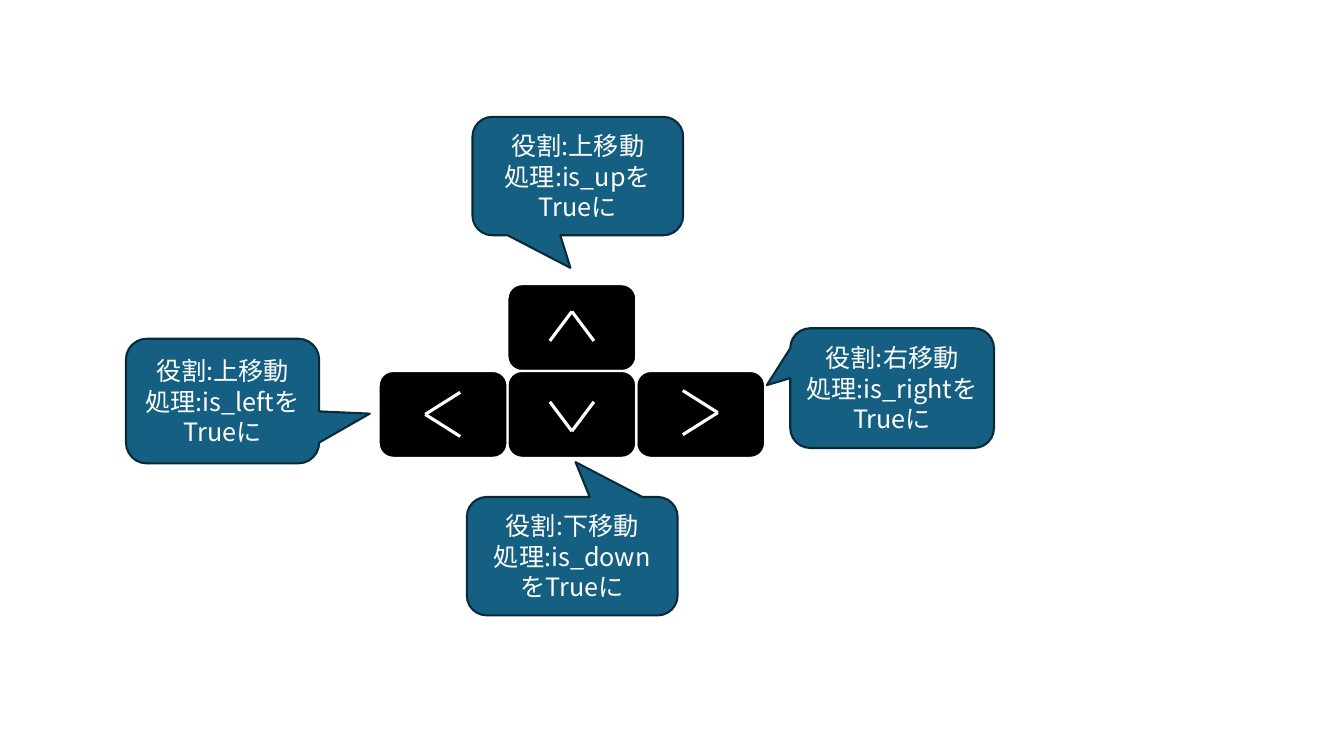
from dataclasses import dataclass

from lxml import etree
from pptx import Presentation
from pptx import util as u
from pptx.dml.color import RGBColor
from pptx.enum import shapes, text
from pptx.oxml import ns
from pptx.shapes.autoshape import Shape
from pptx.shapes.shapetree import GroupShapes, SlideShapes
from pptx.text.text import _Paragraph


@dataclass(frozen=True)
class Theme:
    white: RGBColor = RGBColor(0xFF, 0xFF, 0xFF)
    key: RGBColor = RGBColor(0x00, 0x00, 0x00)
    callout: RGBColor = RGBColor(0x15, 0x60, 0x82)
    outline: RGBColor = RGBColor(0x09, 0x2A, 0x39)
    font: str = "Noto Sans CJK JP"
    size: float = 18
    border: float = 1.5
    stroke: float = 2.25


@dataclass(frozen=True)
class Key:
    column: int
    row: int
    tip: tuple[float, float]
    direction: tuple[int, int]


@dataclass(frozen=True)
class Callout:
    words: str
    left: float
    top: float
    width: float
    height: float
    pointer: tuple[float, float]


THEME = Theme()
PAD_LEFT, PAD_TOP = 270.5, 203
KEY_WIDTH, KEY_HEIGHT = 92, 62
CHEVRON_HALF = 15.75

KEYS = [
    Key(1, 0, (408.5, 222.5), (0, -21)),
    Key(2, 1, (512.75, 294.75), (25, 0)),
    Key(1, 1, (408.5, 308), (0, 21)),
    Key(0, 1, (303.75, 296), (-25, 0)),
]

CALLOUTS = [
    Callout("役割:下移動\n処理:is_downをTrueに", 333.5, 355, 150.5, 84.5, (0.016, -0.795)),
    Callout("役割:上移動\v処理:is_upをTrueに", 337.5, 83.5, 150.5, 84.5, (-0.035, 0.776)),
    Callout("役割:右移動\v処理:is_rightをTrueに", 564.5, 234.5, 145.5, 85.5, (-0.615, -0.025)),
    Callout("役割:上移動\v処理:is_leftをTrueに", 90, 242, 138, 89, (0.762, 0.101)),
]


def paint(box: Shape, fill: RGBColor, line: RGBColor) -> None:
    box.shadow.inherit = False
    box.fill.solid()
    box.fill.fore_color.rgb = fill
    box.line.color.rgb = line
    box.line.width = u.Pt(THEME.border)


def draw_key(canvas: GroupShapes, key: Key) -> None:
    box = canvas.add_shape(
        shapes.MSO_SHAPE.ROUNDED_RECTANGLE,
        u.Pt(PAD_LEFT + key.column * KEY_WIDTH),
        u.Pt(PAD_TOP + key.row * KEY_HEIGHT),
        u.Pt(KEY_WIDTH),
        u.Pt(KEY_HEIGHT),
    )
    paint(box, THEME.key, THEME.white)


def draw_chevron(canvas: GroupShapes, key: Key) -> None:
    (x, y), (dx, dy) = key.tip, key.direction
    for side in (-CHEVRON_HALF, CHEVRON_HALF):
        tail_x = x - dx + (side if dx == 0 else 0)
        tail_y = y - dy + (side if dy == 0 else 0)
        stroke = canvas.add_connector(
            shapes.MSO_CONNECTOR.STRAIGHT, u.Pt(tail_x), u.Pt(tail_y), u.Pt(x), u.Pt(y)
        )
        stroke.line.color.rgb = THEME.white
        stroke.line.width = u.Pt(THEME.stroke)
        etree.SubElement(stroke._element.spPr, ns.qn("a:effectLst"))


def style_paragraph(para: _Paragraph) -> None:
    para.alignment = text.PP_ALIGN.CENTER
    para.font.size = u.Pt(THEME.size)
    para.font.color.rgb = THEME.white
    para.font.name = THEME.font
    defaults = para._p.pPr.find(ns.qn("a:defRPr"))
    etree.SubElement(defaults, ns.qn("a:ea"), typeface=THEME.font)


def draw_callout(canvas: SlideShapes, callout: Callout) -> None:
    box = canvas.add_shape(
        shapes.MSO_SHAPE.ROUNDED_RECTANGULAR_CALLOUT,
        u.Pt(callout.left),
        u.Pt(callout.top),
        u.Pt(callout.width),
        u.Pt(callout.height),
    )
    box.adjustments[0], box.adjustments[1] = callout.pointer
    paint(box, THEME.callout, THEME.outline)
    frame = box.text_frame
    frame.word_wrap = True
    frame.vertical_anchor = text.MSO_ANCHOR.MIDDLE
    frame.text = callout.words
    for para in frame.paragraphs:
        style_paragraph(para)


def main() -> None:
    deck = Presentation()
    deck.slide_width, deck.slide_height = u.Pt(960), u.Pt(540)
    page = deck.slides.add_slide(deck.slide_layouts[6])
    keypad = page.shapes.add_group_shape().shapes
    for key in KEYS:
        draw_key(keypad, key)
    for key in KEYS:
        draw_chevron(keypad, key)
    for callout in CALLOUTS:
        draw_callout(page.shapes, callout)
    deck.save("out.pptx")


if __name__ == "__main__":
    main()
